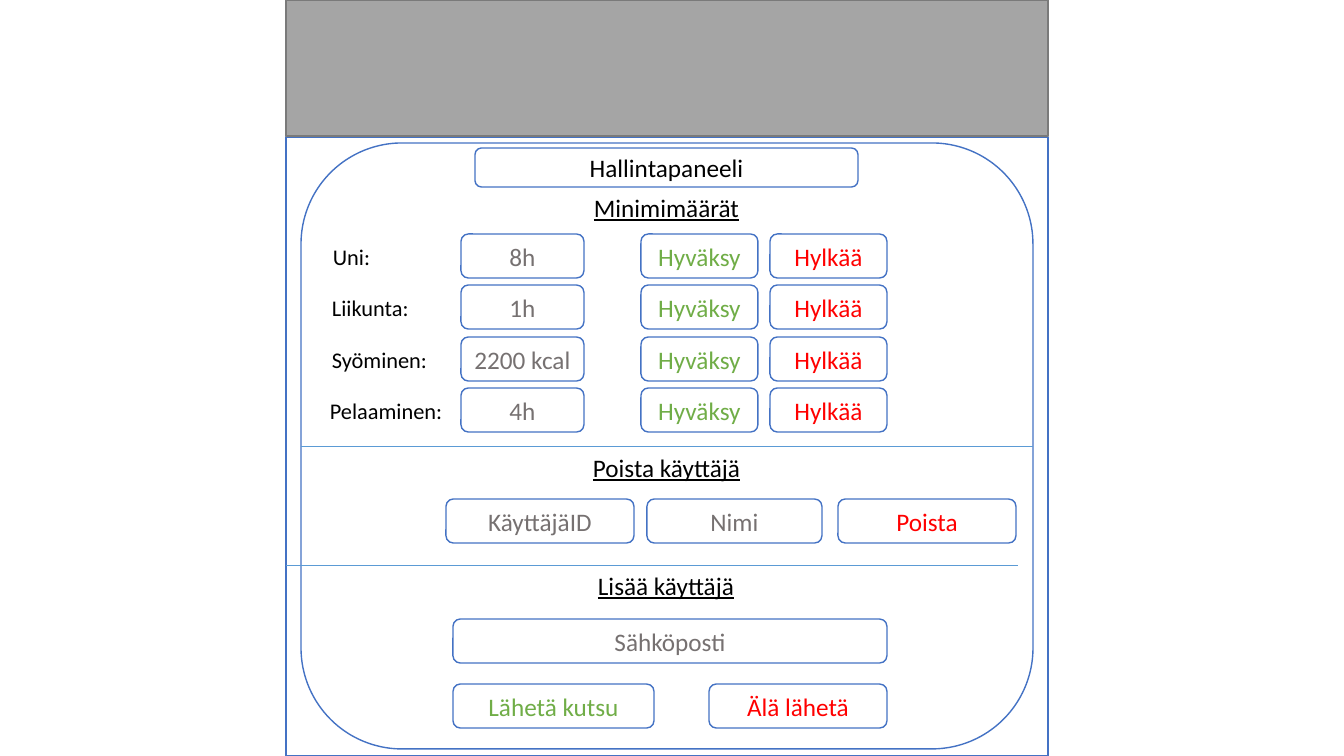
"""Build a control panel wireframe with minimum amounts, user removal and user invitation."""
from lxml import etree
from pptx import Presentation
from pptx.dml.color import RGBColor
from pptx.enum.shapes import MSO_CONNECTOR, MSO_SHAPE
from pptx.enum.text import MSO_ANCHOR, MSO_AUTO_SIZE, PP_ALIGN
from pptx.oxml.ns import qn
from pptx.util import Emu, Pt

RECT, ROUND = MSO_SHAPE.RECTANGLE, MSO_SHAPE.ROUNDED_RECTANGLE
STRAIGHT = MSO_CONNECTOR.STRAIGHT
MIDDLE, TOP = MSO_ANCHOR.MIDDLE, MSO_ANCHOR.TOP
CENTER, LEFT = PP_ALIGN.CENTER, PP_ALIGN.LEFT
FIT_SHAPE = MSO_AUTO_SIZE.SHAPE_TO_FIT_TEXT

EMU_PER_PIXEL = 914400 / 100.8
WHITE, BLACK, BLUE, DIVIDER = "FFFFFF", "000000", "4472C4", "5B9BD5"
BANNER_FILL, BANNER_EDGE = "A5A5A5", "7A7A7A"
HINT, ACCEPT, REJECT = "767171", "70AD47", "FF0000"


def px(*lengths):
    return [Emu(round(length * EMU_PER_PIXEL)) for length in lengths]


def rgb(value):
    return RGBColor.from_string(value)


def apply(target, values):
    for key, value in values.items():
        setattr(target, key, value)


class Panel:
    def __init__(self, slide, font="Calibri"):
        self.slide = slide
        self.font = font

    def wording(self, frame, text, color, size, align, **extra):
        paragraph = frame.paragraphs[0]
        paragraph.alignment = align
        run = paragraph.add_run()
        run.text = text
        apply(run.font, {"name": self.font, "size": Pt(size), **extra})
        run.font.color.rgb = rgb(color)

    def box(self, x, y, w, h, kind=ROUND, fill=WHITE, edge=BLUE):
        shape = self.slide.shapes.add_shape(kind, *px(x, y, w, h))
        shape.shadow.inherit = False
        shape.fill.solid()
        shape.fill.fore_color.rgb = rgb(fill)
        shape.line.color.rgb = rgb(edge)
        shape.line.width = Pt(1)
        return shape

    def field(self, x, y, w, text, color=HINT, h=44):
        frame = self.box(x, y, w, h).text_frame
        apply(frame, {"word_wrap": True, "vertical_anchor": MIDDLE})
        self.wording(frame, text, color, 18, CENTER)

    def label(self, x, y, w, h, text, size, **extra):
        frame = self.slide.shapes.add_textbox(*px(x, y, w, h)).text_frame
        apply(frame, {"word_wrap": False, "vertical_anchor": TOP, "auto_size": FIT_SHAPE})
        self.wording(frame, text, BLACK, size, LEFT, **extra)

    def heading(self, x, y, w, text):
        self.label(x, y, w, 40, text, 18, underline=True)

    def divider(self, x, y, w):
        line = self.slide.shapes.add_connector(STRAIGHT, *px(x, y, x + w, y))
        line.line.color.rgb = rgb(DIVIDER)
        line.line.width = Pt(0.5)
        etree.SubElement(line._element.spPr, qn("a:effectLst"))


deck = Presentation()
deck.slide_width, deck.slide_height = px(1344, 756)
panel = Panel(deck.slides.add_slide(deck.slide_layouts[6]))

panel.box(286, 137, 762, 619, RECT)
panel.box(286, 0, 762, 136, RECT, BANNER_FILL, BANNER_EDGE)
panel.box(301, 143, 732, 606)
panel.field(475, 148, 383, "Hallintapaneeli", BLACK, h=39)

panel.heading(584, 187, 166, "Minimimäärät")
minimums = [
    ("Uni:", 323, 57, "8h"),
    ("Liikunta:", 322, 98, "1h"),
    ("Syöminen:", 322, 117, "2200 kcal"),
    ("Pelaaminen:", 320, 134, "4h"),
]
for row, (activity, left, width, amount) in enumerate(minimums):
    top = 234 + round(row * 154 / 3)
    panel.label(left, top + 4, width, 37, activity, 16)
    panel.field(461, top, 123, amount)
    panel.field(641, top, 117, "Hyväksy", ACCEPT)
    panel.field(770, top, 117, "Hylkää", REJECT)

panel.divider(301, 446, 732)
panel.heading(583, 447, 169, "Poista käyttäjä")
panel.field(446, 499, 188, "KäyttäjäID")
panel.field(647, 499, 175, "Nimi")
panel.field(838, 499, 178, "Poista", REJECT)

panel.divider(286, 565, 732)
panel.heading(588, 565, 158, "Lisää käyttäjä")
panel.field(453, 619, 434, "Sähköposti")
panel.field(453, 684, 201, "Lähetä kutsu", ACCEPT)
panel.field(709, 684, 178, "Älä lähetä", REJECT)

deck.save("out.pptx")
